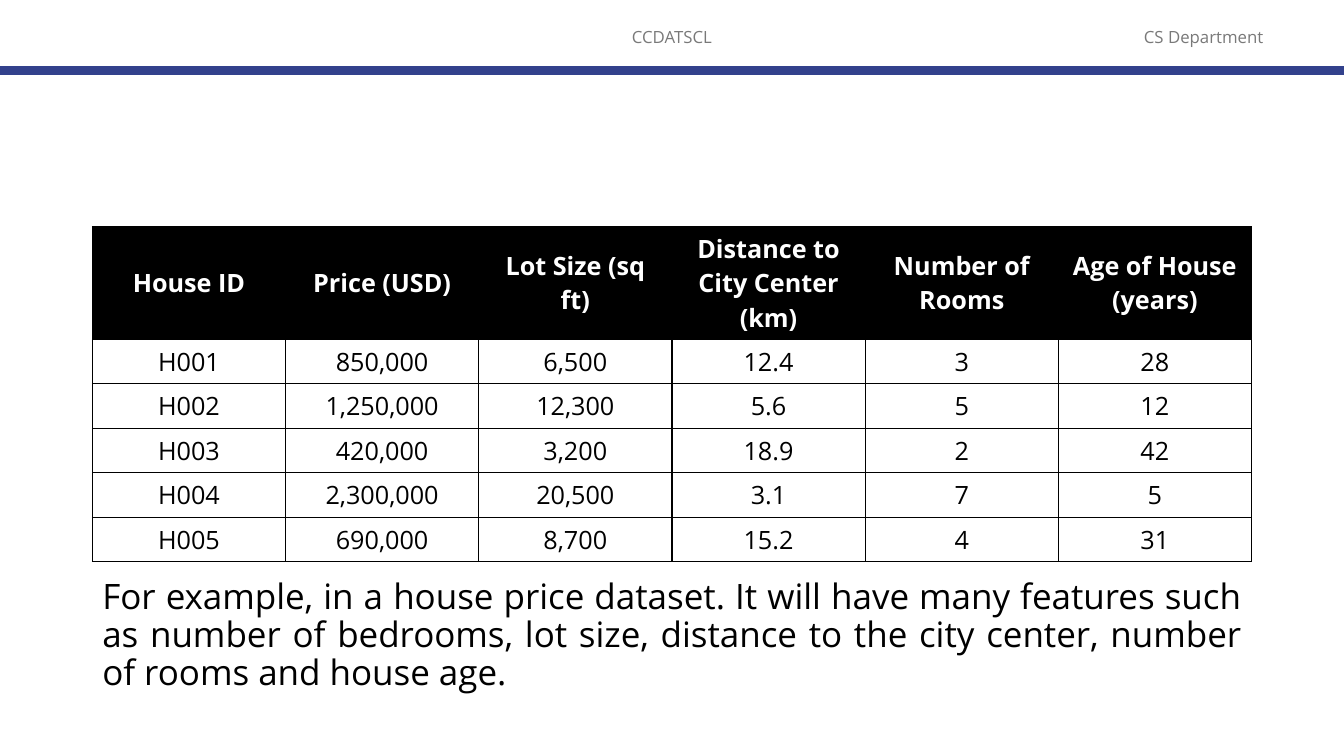
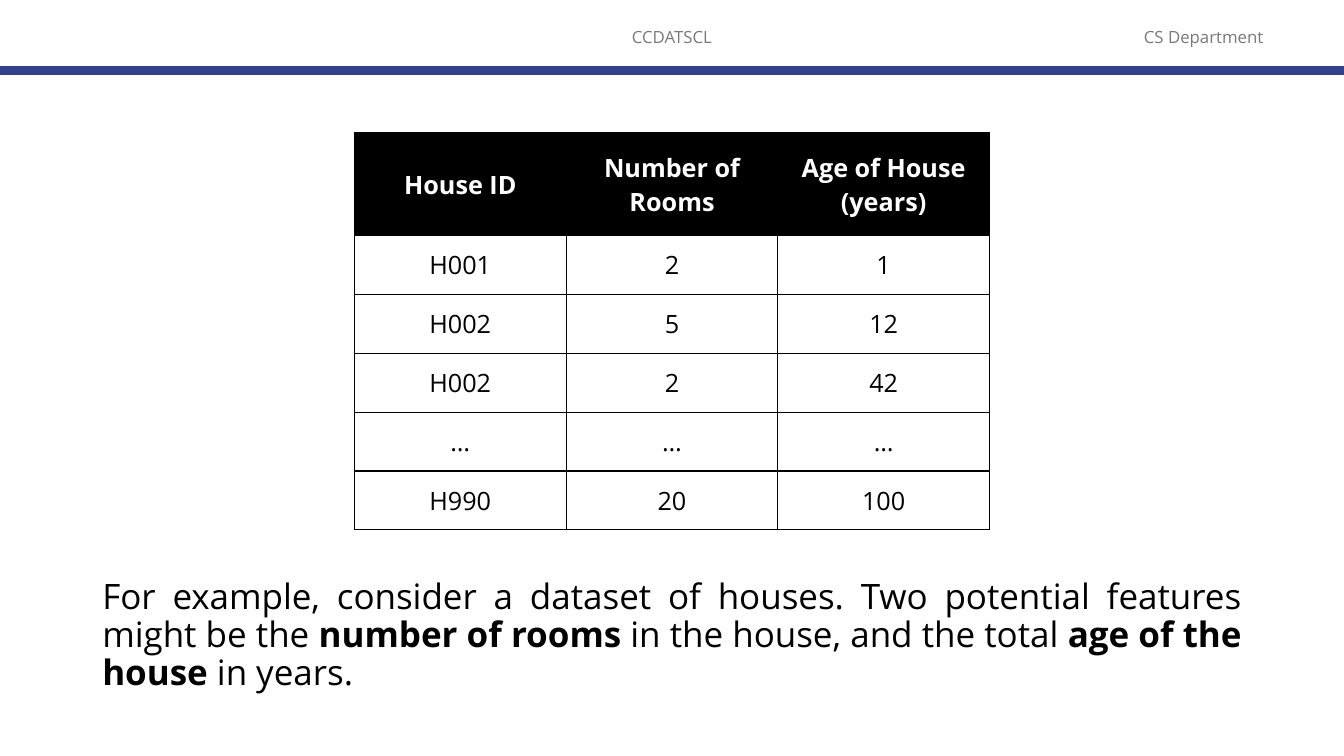
"""Build two slides on dataset features, each with a house table and a caption."""
from lxml.etree import SubElement
from pptx import Presentation
from pptx.dml.color import RGBColor
from pptx.enum.shapes import MSO_CONNECTOR as Connector
from pptx.enum.text import MSO_ANCHOR as Anchor, MSO_AUTO_SIZE as AutoSize, PP_ALIGN as Align
from pptx.oxml import parse_xml
from pptx.oxml.ns import nsdecls, qn
from pptx.util import Inches, Pt

COLUMNS, ROWS = 160, 90
UNIT = Inches(1) / 12
FONT = "Open Sans"
INK, PAPER, GREY, BLUE = "000000", "FFFFFF", "797979", "32418C"
MARGIN, CONTENT_WIDTH = 11, 138
RULE_TOP, CAPTION_TOP = 8.4, 68.4
RUNNING_HEADS = [("CCDATSCL", 53, 54), ("CS Department", 131, 24.6)]

SLIDES = [
    {
        "top": 27, "width": CONTENT_WIDTH, "header_height": 13.4, "row_height": 5.3,
        "rows": [
            ["House ID", "Price (USD)", "Lot Size (sq ft)", "Distance to City Center (km)",
             "Number of Rooms", "Age of House (years)"],
            ["H001", "850,000", "6,500", "12.4", "3", "28"],
            ["H002", "1,250,000", "12,300", "5.6", "5", "12"],
            ["H003", "420,000", "3,200", "18.9", "2", "42"],
            ["H004", "2,300,000", "20,500", "3.1", "7", "5"],
            ["H005", "690,000", "8,700", "15.2", "4", "31"],
        ],
        "caption": "For example, in a house price dataset. It will have many features such as "
                   "number of bedrooms, lot size, distance to the city center, number of rooms "
                   "and house age.",
        "caption_height": 16.3,
    },
    {
        "top": 15.84, "width": 75.6, "header_height": 12.24, "row_height": 7,
        "rows": [
            ["House ID", "Number of Rooms", "Age of House (years)"],
            ["H001", "2", "1"],
            ["H002", "5", "12"],
            ["H002", "2", "42"],
            ["…", "…", "…"],
            ["H990", "20", "100"],
        ],
        "caption": "For example, consider a dataset of houses. Two potential features might be "
                   "the **number of rooms **in the house, and the total **age of the house** "
                   "in years.",
        "caption_height": 16.3,
    },
]


def grid(*cells):
    return [round(cell * UNIT) for cell in cells]


def write_text(frame, text, size=18, color=INK, bold=False, align=Align.CENTER, spacing=1.0):
    para = frame.paragraphs[0]
    para.alignment = align
    para.line_spacing = spacing
    for index, piece in enumerate(text.split("**")):
        span = para.add_run()
        span.text = piece
        span.font.name = FONT
        span.font.size = Pt(size)
        span.font.bold = bold or index % 2 == 1
        span.font.color.rgb = RGBColor.from_string(color)


deck = Presentation()
deck.slide_width, deck.slide_height = grid(COLUMNS, ROWS)

for content in SLIDES:
    page = deck.slides.add_slide(deck.slide_layouts[6])

    for label, left, width in RUNNING_HEADS:
        box = page.shapes.add_textbox(*grid(left, 2, width, 4.8))
        box.text_frame.word_wrap = True
        box.text_frame.vertical_anchor = Anchor.MIDDLE
        write_text(box.text_frame, label, size=12, color=GREY)

    rule = page.shapes.add_connector(Connector.STRAIGHT, *grid(0, RULE_TOP, COLUMNS, RULE_TOP))
    rule.line.color.rgb = RGBColor.from_string(BLUE)
    rule.line.width = Pt(6)
    SubElement(rule._element.spPr, qn("a:effectLst"))

    rows = content["rows"]
    width, header_height, row_height = (
        content[key] for key in ("width", "header_height", "row_height"))
    height = header_height + row_height * (len(rows) - 1)
    table = page.shapes.add_table(
        len(rows), len(rows[0]),
        *grid((COLUMNS - width) / 2, content["top"], width, height)).table
    table.first_row = table.horz_banding = False

    for row_index, values in enumerate(rows):
        is_header = row_index == 0
        table.rows[row_index].height = grid(header_height if is_header else row_height)[0]
        for column_index, value in enumerate(values):
            cell = table.cell(row_index, column_index)
            cell.vertical_anchor = Anchor.MIDDLE
            for side in "LRTB":
                cell._tc.get_or_add_tcPr().append(parse_xml(
                    f'<a:ln{side} {nsdecls("a")} w="{Pt(1)}"><a:solidFill>'
                    f'<a:srgbClr val="{INK}"/></a:solidFill></a:ln{side}>'))
            if is_header:
                cell.fill.solid()
                cell.fill.fore_color.rgb = RGBColor.from_string(INK)
            else:
                cell.fill.background()
            write_text(cell.text_frame, value, color=PAPER if is_header else INK, bold=is_header)

    caption = page.shapes.add_textbox(
        *grid(MARGIN, CAPTION_TOP, CONTENT_WIDTH, content["caption_height"]))
    caption.text_frame.word_wrap = True
    caption.text_frame.auto_size = AutoSize.SHAPE_TO_FIT_TEXT
    write_text(caption.text_frame, content["caption"], size=25, align=Align.JUSTIFY, spacing=0.9)

deck.save("out.pptx")
